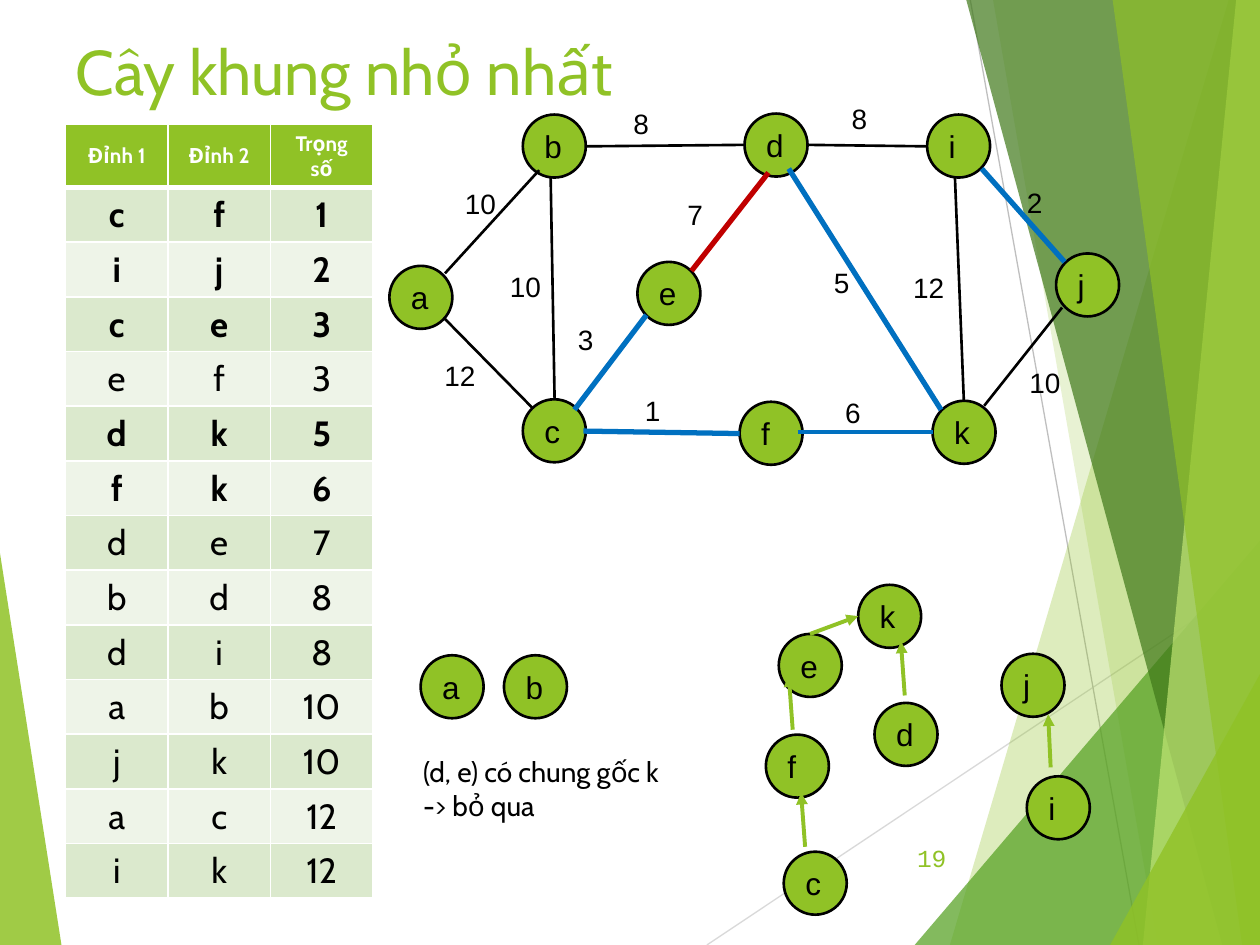
from lxml import etree
from pptx import Presentation
from pptx.dml.color import RGBColor
from pptx.enum.shapes import MSO_CONNECTOR, MSO_SHAPE
from pptx.enum.text import MSO_ANCHOR, PP_ALIGN
from pptx.oxml.ns import qn
from pptx.util import Cm, Pt

STRAIGHT, OVAL = MSO_CONNECTOR.STRAIGHT, MSO_SHAPE.OVAL
TOP, MIDDLE = MSO_ANCHOR.TOP, MSO_ANCHOR.MIDDLE
LEFT, CENTER, RIGHT = PP_ALIGN.LEFT, PP_ALIGN.CENTER, PP_ALIGN.RIGHT

GREEN = RGBColor(0x90, 0xC2, 0x26)
MID_GREEN = RGBColor(0x54, 0xA0, 0x21)
DARK_GREEN = RGBColor(0x3F, 0x78, 0x19)
LIME = RGBColor(0xC0, 0xE4, 0x74)
BAND_DARK = RGBColor(0xDB, 0xE9, 0xCD)
BAND_LIGHT = RGBColor(0xEE, 0xF4, 0xE8)
BLACK = RGBColor(0, 0, 0)
WHITE = RGBColor(0xFF, 0xFF, 0xFF)
RED = RGBColor(0xC0, 0, 0)
BLUE = RGBColor(0, 0x70, 0xC0)
GREY = RGBColor(0xD9, 0xD9, 0xD9)
MID_GREY = RGBColor(0xBF, 0xBF, 0xBF)

W, H = 25.4, 19.05
NODE = 1.27

RAYS = [((14.25, H, W, 11.61), GREY), ((19.56, 0, 22.96, H), MID_GREY)]
LEFT_FACET = ([(0, 11.15), (1.24, H), (0, H)], GREEN, 85)
FACETS = [
    ([(24.77, 0), (19.15, H), (W, H), (W, 0)], GREEN, 30),
    ([(20.02, 0), (23.34, H), (W, H), (W, 0)], GREEN, 20),
    ([(18.44, H), (W, 10.9), (W, H)], MID_GREEN, 72),
    ([(19.48, 0), (24.64, H), (W, H), (W, 0)], DARK_GREEN, 70),
    ([(24.92, 0), (23.04, H), (W, H), (W, 0)], LIME, 70),
    ([(22.43, 0), (25.04, H), (W, H), (W, 0)], GREEN, 65),
    ([(22.38, H), (W, 13.59), (W, H)], GREEN, 80),
]

HEADERS = ["Đỉnh 1", "Đỉnh 2", "Trọng số"]
EDGE_ROWS = ["c f 1", "i j 2", "c e 3", "e f 3", "d k 5", "f k 6", "d e 7",
             "b d 8", "d i 8", "a b 10", "j k 10", "a c 12", "i k 12"]
CHOSEN = {"c f 1", "i j 2", "c e 3", "d k 5", "f k 6"}

GRAPH_NODES = [
    ("b", 10.54, 2.31), ("d", 15.01, 2.29), ("i", 18.69, 2.31),
    ("c", 10.54, 8.05), ("e", 12.85, 5.28), ("f", 14.91, 8.1),
    ("k", 18.8, 8.08), ("j", 21.29, 5.11), ("a", 7.85, 5.36),
]
GRAPH_EDGES = [
    ((10.87, 3.43, 8.97, 5.51), BLACK, 1.5, "10", 9.12, 3.63),
    ((15.49, 3.48, 13.94, 5.46), RED, 3, "7", 13.61, 3.86),
    ((13.03, 6.35, 11.58, 8.26), BLUE, 3, "3", 11.4, 6.38),
    ((21.41, 6.2, 19.84, 8.18), BLACK, 1.5, "10", 20.5, 7.24),
    ((19.79, 3.4, 21.46, 5.28), BLUE, 3, "2", 20.45, 3.61),
    ((15.9, 3.4, 18.97, 8.26), BLUE, 3, "5", 16.56, 5.23),
    ((16.28, 2.92, 18.69, 2.95), BLACK, 1.5, "8", 16.92, 1.93),
    ((8.97, 6.43, 10.74, 8.23), BLACK, 1.5, "12", 8.71, 7.11),
    ((11.81, 2.95, 15.01, 2.92), BLACK, 1.5, "8", 12.52, 2.03),
    ((16.08, 8.71, 18.8, 8.71), BLUE, 2.25, "6", 16.79, 7.85),
    ((11.76, 8.69, 14.91, 8.74), BLUE, 3, "1", 12.75, 7.8),
    ((19.43, 8.08, 19.25, 3.56), BLACK, 1.5, "12", 18.16, 5.33),
    ((11.1, 3.56, 11.18, 8.05), BLACK, 1.5, "10", 10.03, 5.31),
]
FOREST_NODES = [
    ("b", 10.16, 13.21), ("d", 17.63, 14.17), ("i", 20.7, 15.65),
    ("c", 15.8, 17.17), ("f", 15.44, 14.81), ("k", 17.3, 11.79),
    ("j", 20.19, 13.18), ("a", 8.48, 13.21), ("e", 15.7, 12.78),
]
PARENT_ARROWS = [
    (16.23, 17.07, 16.15, 15.98), (18.24, 14.02, 18.16, 12.93),
    (16.33, 12.78, 17.3, 12.42), (15.98, 14.71, 15.9, 13.61),
    (21.18, 15.47, 21.13, 14.4),
]

prs = Presentation()
prs.slide_width, prs.slide_height = Cm(W), Cm(H)
s = prs.slides.add_slide(prs.slide_layouts[6])


def write(tf, text, size, font, color, align=LEFT, bold=False):
    p = tf.paragraphs[0]
    p.alignment = align
    r = p.add_run()
    r.text = text
    r.font.size, r.font.name, r.font.bold = Pt(size), font, bold
    r.font.color.rgb = color


def add_text(box, text, size, font, color, align=LEFT, anchor=TOP):
    tf = s.shapes.add_textbox(*map(Cm, box)).text_frame
    tf.word_wrap = True
    tf.vertical_anchor = anchor
    write(tf, text, size, font, color, align)


def add_line(ends, color, width, arrow=False):
    sp = s.shapes.add_connector(STRAIGHT, *map(Cm, ends))
    sp.line.color.rgb = color
    sp.line.width = Pt(width)
    if arrow:
        etree.SubElement(sp.line._get_or_add_ln(), qn("a:tailEnd"), type="triangle")
    etree.SubElement(sp._element.spPr, qn("a:effectLst"))


def add_facet(points, color, opacity):
    start, *rest = [(Cm(x), Cm(y)) for x, y in points]
    fb = s.shapes.build_freeform(*start)
    fb.add_line_segments(rest, close=True)
    sp = fb.convert_to_shape()
    sp.shadow.inherit = False
    sp.line.fill.background()
    sp.fill.solid()
    sp.fill.fore_color.rgb = color
    clr = sp._element.spPr.find(qn("a:solidFill"))[0]
    etree.SubElement(clr, qn("a:alpha"), val=str(opacity * 1000))


def add_node(name, x, y):
    sp = s.shapes.add_shape(OVAL, Cm(x), Cm(y), Cm(NODE), Cm(NODE))
    sp.shadow.inherit = False
    sp.fill.solid()
    sp.fill.fore_color.rgb = GREEN
    sp.line.color.rgb = BLACK
    sp.line.width = Pt(1.5)
    sp.text_frame.vertical_anchor = MIDDLE
    write(sp.text_frame, name, 18, "Arial", BLACK)


def set_borders(cell, bottom):
    tcPr = cell._tc.get_or_add_tcPr()
    for i, (side, width) in enumerate([("L", 1), ("R", 1), ("T", 1), ("B", bottom)]):
        ln = etree.Element(qn("a:ln" + side), w=str(Pt(width)))
        fill = etree.SubElement(ln, qn("a:solidFill"))
        etree.SubElement(fill, qn("a:srgbClr"), val=str(WHITE))
        tcPr.insert(i, ln)


def add_edge_table():
    rows = [HEADERS] + [row.split() for row in EDGE_ROWS]
    tbl = s.shapes.add_table(len(rows), 3, Cm(1.32), Cm(2.51),
                             Cm(6.2), Cm(1.04 * len(rows))).table
    for i, values in enumerate(rows):
        tbl.rows[i].height = Cm(1.04)
        head = i == 0
        bold = head or EDGE_ROWS[i - 1] in CHOSEN
        fill = GREEN if head else (BAND_LIGHT, BAND_DARK)[i % 2]
        for j, value in enumerate(values):
            cell = tbl.cell(i, j)
            cell.vertical_anchor = MIDDLE
            cell.fill.solid()
            cell.fill.fore_color.rgb = fill
            set_borders(cell, 3 if head else 1)
            write(cell.text_frame, value, 12 if head else 20, "Cabin",
                  WHITE if head else BLACK, CENTER, bold)


add_facet(*LEFT_FACET)
for ends, color in RAYS:
    add_line(ends, color, 0.75)
for facet in FACETS:
    add_facet(*facet)

add_text((1.27, 0.53, 17.63, 3.66), "Cây khung nhỏ nhất", 36, "Cabin", GREEN)
add_text((17.91, 16.79, 1.42, 1.02), "19", 14, "Courier New", GREEN, RIGHT, MIDDLE)

for node in GRAPH_NODES:
    add_node(*node)
for ends, color, width, *_ in GRAPH_EDGES:
    add_line(ends, color, width)
for *_, weight, x, y in GRAPH_EDGES:
    add_text((x, y, 1.93, 1.27), weight, 16, "Arial", BLACK)

add_edge_table()

for node in FOREST_NODES:
    add_node(*node)
for ends in PARENT_ARROWS:
    add_line(ends, GREEN, 2.25, arrow=True)
add_text((8.28, 15.09, 5.33, 1.27), "(d, e) có chung gốc k -> bỏ qua", 16, "Cabin", BLACK)

prs.save("out.pptx")
